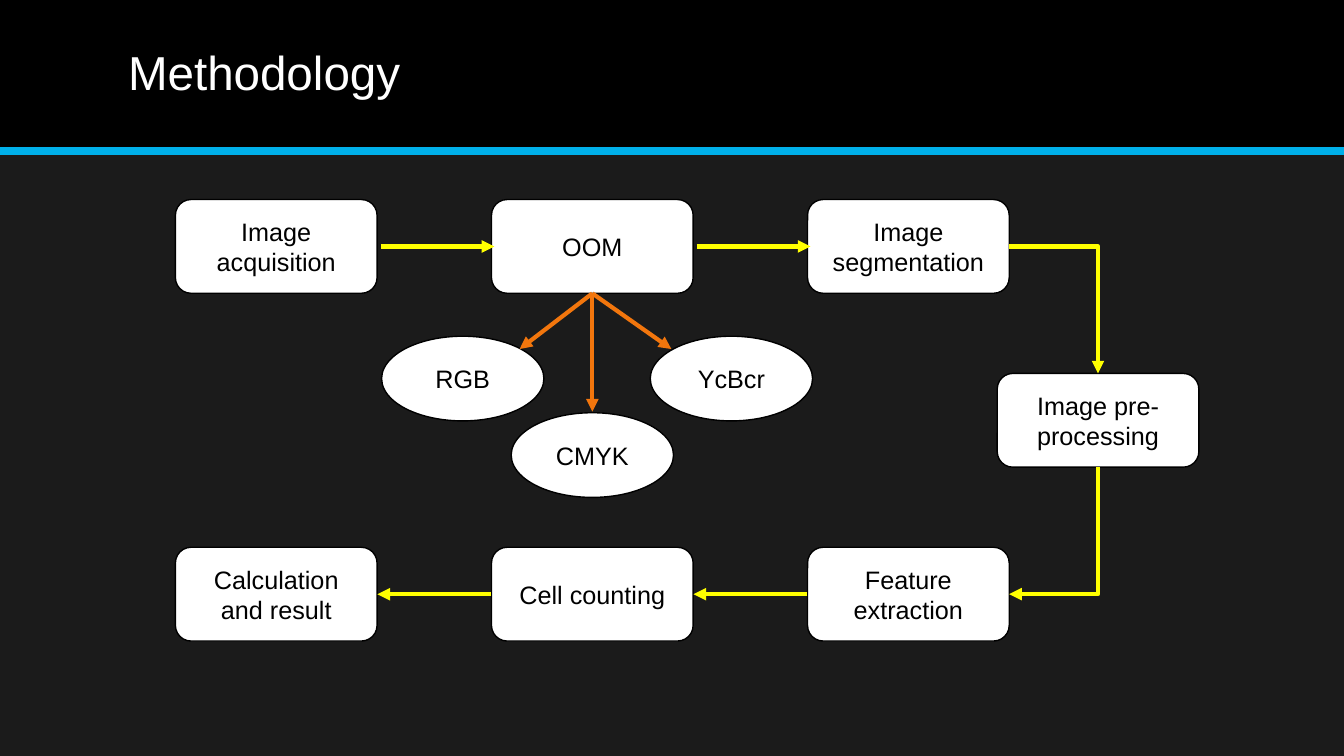
from dataclasses import dataclass

from lxml.etree import SubElement
from pptx import Presentation
from pptx.dml.color import RGBColor
from pptx.enum.shapes import MSO_CONNECTOR, MSO_SHAPE
from pptx.enum.text import MSO_ANCHOR, PP_ALIGN
from pptx.oxml.ns import qn
from pptx.util import Inches, Pt


@dataclass(frozen=True)
class Theme:
    """Colours, font and sizes in points."""
    back: str = "1B1B1B"
    black: str = "000000"
    white: str = "FFFFFF"
    rule: str = "00B0EA"
    flow: str = "FFFF00"
    split: str = "F2760D"
    font: str = "Arial"
    head: int = 34
    body: int = 18
    edge: int = 1
    arrow: int = 3
    band: int = 6


@dataclass(frozen=True)
class Grid:
    """Centre of the first cell and the pitch of columns and rows, in inches."""
    left: float = 2.74
    top: float = 2.445
    col: float = 3.135
    row: float = 1.725

    def spot(self, col: float, row: float) -> tuple:
        """Return the slide point of a column and row."""
        return Inches(self.left + col * self.col), Inches(self.top + row * self.row)


@dataclass(frozen=True)
class Node:
    """A labelled shape centred at a column and row."""
    label: str
    col: float
    row: float


@dataclass(frozen=True)
class Arrow:
    """A straight arrow between two grid points."""
    start: tuple
    end: tuple
    color: str


@dataclass(frozen=True)
class Elbow:
    """A bent arrow glued to the sites of two steps."""
    start: str
    site: int
    end: str
    stop: int
    tip: str


THEME = Theme()
GRID = Grid()
WIDE, HIGH = Inches(13.33), Inches(7.5)
STEP = Inches(2), Inches(0.93)
OVAL = Inches(1.61), Inches(0.84)

STEPS = [
    Node("Image acquisition", 0, 0),
    Node("OOM", 1, 0),
    Node("Image segmentation", 2, 0),
    Node("Image pre-processing", 2.6, 1),
    Node("Feature extraction", 2, 2),
    Node("Cell counting", 1, 2),
    Node("Calculation and result", 0, 2),
]
MODELS = [Node("RGB", 0.59, 0.76), Node("CMYK", 1, 1.2), Node("YcBcr", 1.44, 0.76)]
ARROWS = [
    *[Arrow((n + 0.33, 0), (n + 0.69, 0), THEME.flow) for n in (0, 1)],
    *[Arrow((n + 0.68, 2), (n + 0.32, 2), THEME.flow) for n in (1, 0)],
    *[Arrow((1, 0.27), end, THEME.split) for end in ((0.77, 0.59), (1, 0.95), (1.25, 0.59))],
]
ELBOWS = [
    Elbow("Image segmentation", 3, "Image pre-processing", 0, "tailEnd"),
    Elbow("Feature extraction", 3, "Image pre-processing", 2, "headEnd"),
]


def tint(color: str) -> RGBColor:
    """Turn a hex string into a colour."""
    return RGBColor.from_string(color)


def write(shape, words: str, *, size: int, color: str, align=PP_ALIGN.CENTER, lead: float = 1.0) -> None:
    """Put formatted text, centred in height, into a shape."""
    frame = shape.text_frame
    frame.text = words
    frame.word_wrap = True
    frame.vertical_anchor = MSO_ANCHOR.MIDDLE
    para = frame.paragraphs[0]
    para.alignment, para.line_spacing = align, lead
    font = para.runs[0].font
    font.name, font.size = THEME.font, Pt(size)
    font.color.rgb = tint(color)


def block(slide, kind, box: tuple, fill: str):
    """Add a flat filled shape without an outline."""
    shape = slide.shapes.add_shape(kind, *box)
    shape.shadow.inherit = False
    shape.fill.solid()
    shape.fill.fore_color.rgb = tint(fill)
    shape.line.fill.background()
    return shape


def place(slide, node: Node, kind, size: tuple):
    """Draw a node around its grid point."""
    x, y = GRID.spot(node.col, node.row)
    wide, high = size
    shape = block(slide, kind, (x - wide // 2, y - high // 2, wide, high), THEME.white)
    shape.line.color.rgb = tint(THEME.black)
    shape.line.width = Pt(THEME.edge)
    write(shape, node.label, size=THEME.body, color=THEME.black)
    return shape


def link(slide, start: tuple, end: tuple, color: str, width: int, tip: str = "", kind=MSO_CONNECTOR.STRAIGHT):
    """Draw a connector, with an arrowhead if a tip is named."""
    line = slide.shapes.add_connector(kind, *start, *end)
    line.line.color.rgb = tint(color)
    line.line.width = Pt(width)
    props = line._element.spPr
    if tip:
        SubElement(props.find(qn("a:ln")), qn(f"a:{tip}"), type="triangle")
    SubElement(props, qn("a:effectLst"))
    return line


def bend(slide, elbow: Elbow, shapes: dict) -> None:
    """Draw a one-corner connector between two steps."""
    line = link(slide, (0, 0), (0, 0), THEME.flow, THEME.arrow, elbow.tip, MSO_CONNECTOR.ELBOW)
    line.begin_connect(shapes[elbow.start], elbow.site)
    line.end_connect(shapes[elbow.end], elbow.stop)
    line._element.spPr.find(qn("a:prstGeom")).set("prst", "bentConnector2")


def header(slide, words: str) -> None:
    """Draw the title band, its rule and the title."""
    base = HIGH // 5
    block(slide, MSO_SHAPE.RECTANGLE, (0, 0, WIDE, base), THEME.black)
    link(slide, (0, base), (WIDE, base), THEME.rule, THEME.band)
    title = slide.shapes.title
    title.left, title.top = Inches(1.17), Inches(0.14)
    title.width, title.height = Inches(11), Inches(1.2)
    write(title, words, size=THEME.head, color=THEME.white, align=PP_ALIGN.LEFT, lead=0.9)
    slide.shapes._spTree.append(title._element)


def main() -> None:
    """Build and save the slide."""
    deck = Presentation()
    deck.slide_width, deck.slide_height = WIDE, HIGH
    slide = deck.slides.add_slide(deck.slide_layouts[5])
    slide.background.fill.solid()
    slide.background.fill.fore_color.rgb = tint(THEME.back)
    header(slide, "Methodology")
    shapes = {node.label: place(slide, node, MSO_SHAPE.ROUNDED_RECTANGLE, STEP) for node in STEPS}
    for node in MODELS:
        place(slide, node, MSO_SHAPE.OVAL, OVAL)
    for arrow in ARROWS:
        link(slide, GRID.spot(*arrow.start), GRID.spot(*arrow.end), arrow.color, THEME.arrow, "tailEnd")
    for elbow in ELBOWS:
        bend(slide, elbow, shapes)
    deck.save("out.pptx")


if __name__ == "__main__":
    main()
